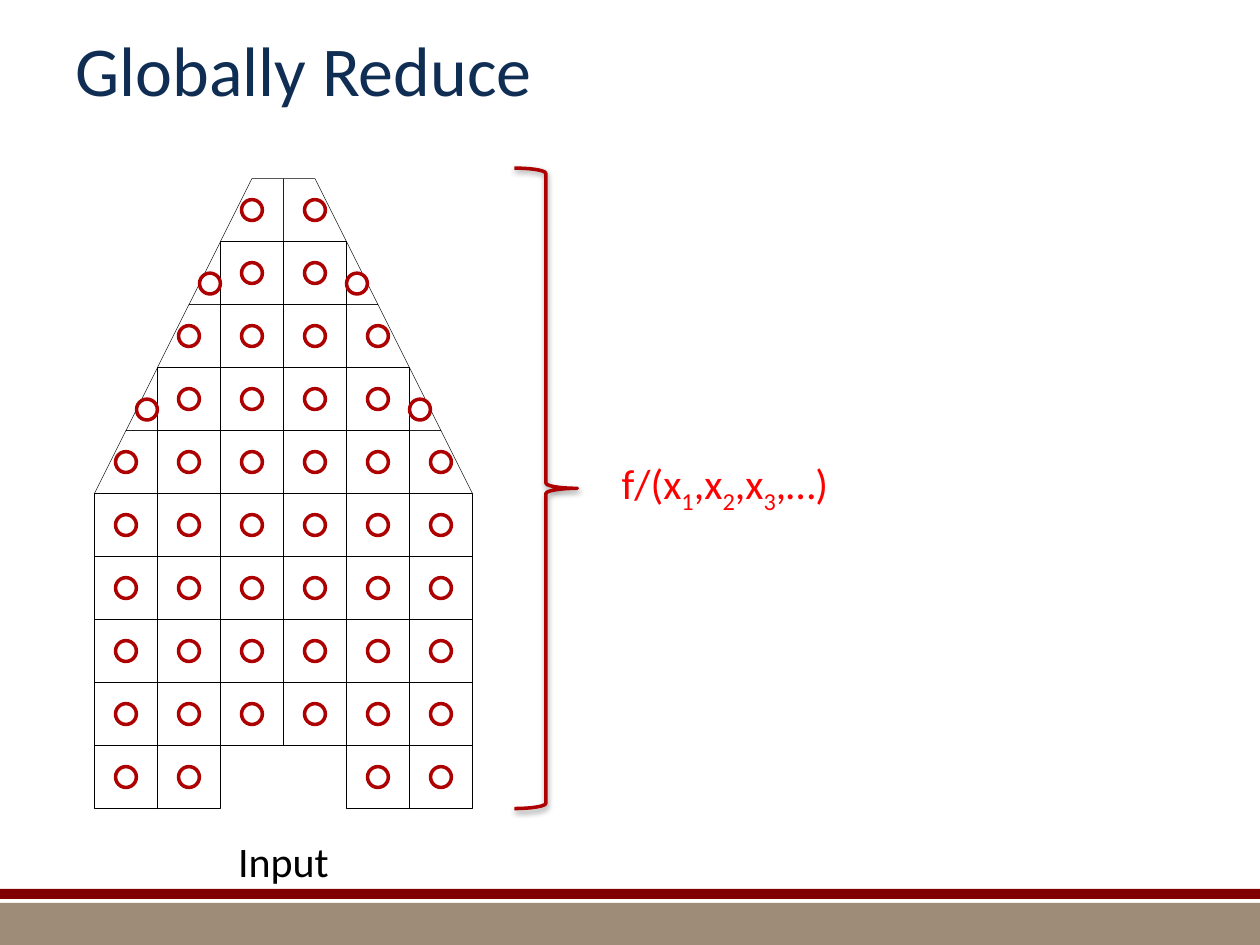
from lxml.etree import SubElement
from pptx import Presentation
from pptx.dml.color import RGBColor
from pptx.enum.shapes import MSO_SHAPE
from pptx.enum.text import MSO_ANCHOR, MSO_AUTO_SIZE, PP_ALIGN
from pptx.oxml.ns import qn
from pptx.util import Cm, Pt

COLORS = {
    "title": "102E54",
    "black": "000000",
    "white": "FFFFFF",
    "dot": "AD0101",
    "formula": "FF0000",
    "band": "9E8C78",
    "stripe": "800000",
}
FONT = "Calibri"
CELL = 1.27
AXIS = 5.715
GRID_TOP = 3.6
DOT = 0.42
COLUMN_ENDS = (9, 10, 10)


def color(name):
    return RGBColor.from_string(COLORS[name])


def style(shape, fill=None, line=None, weight=0.25):
    shape.shadow.inherit = False
    if fill:
        shape.fill.solid()
        shape.fill.fore_color.rgb = color(fill)
    else:
        shape.fill.background()
    if line:
        shape.line.color.rgb = color(line)
        shape.line.width = Pt(weight)
    else:
        shape.line.fill.background()


def add_shape(shapes, kind, left, top, width, height, **look):
    shape = shapes.add_shape(kind, Cm(left), Cm(top), Cm(width), Cm(height))
    style(shape, **look)
    return shape


def add_text(page, pieces, left, top, width, height, size, ink,
             align=PP_ALIGN.LEFT, wrap=False):
    box = page.shapes.add_textbox(Cm(left), Cm(top), Cm(width), Cm(height))
    frame = box.text_frame
    frame.word_wrap = wrap
    frame.auto_size = MSO_AUTO_SIZE.NONE if wrap else MSO_AUTO_SIZE.SHAPE_TO_FIT_TEXT
    frame.vertical_anchor = MSO_ANCHOR.MIDDLE if wrap else MSO_ANCHOR.TOP
    para = frame.paragraphs[0]
    para.alignment = align
    for text, subscript in pieces:
        span = para.add_run()
        span.text = text
        span.font.name = FONT
        span.font.size = Pt(size)
        span.font.color.rgb = color(ink)
        if subscript:
            span._r.get_or_add_rPr().set("baseline", "-25000")


def grid_point(side, across, down):
    return AXIS + side * across * CELL, GRID_TOP + down * CELL


def add_outline(shapes, side, corners):
    points = [tuple(Cm(value) for value in grid_point(side, *corner))
              for corner in corners]
    builder = shapes.build_freeform(*points[0])
    builder.add_line_segments(points[1:], close=True)
    style(builder.convert_to_shape(), line="black")


def add_cells(shapes, side):
    for column, end in enumerate(COLUMN_ENDS):
        top = 2 * column
        outer = column + 1
        for row in range(top + 1, end):
            x, y = grid_point(side, column + 0.5, row + 0.5)
            add_shape(shapes, MSO_SHAPE.RECTANGLE, x - CELL / 2, y - CELL / 2,
                      CELL, CELL, line="black")
        add_outline(shapes, side, [(column, top), (column, top + 1),
                                   (outer, top + 1), (column + 0.5, top)])
        if outer < len(COLUMN_ENDS):
            add_outline(shapes, side, [(outer, top + 1), (outer, top + 2),
                                       (outer + 0.5, top + 2)])


def add_dots(shapes, side):
    centers = [(column + 0.5, row + 0.5)
               for column, end in enumerate(COLUMN_ENDS)
               for row in range(2 * column, end)]
    centers += [(column + 7 / 6, 2 * column + 5 / 3)
                for column in range(len(COLUMN_ENDS) - 1)]
    for center in centers:
        x, y = grid_point(side, *center)
        add_shape(shapes, MSO_SHAPE.OVAL, x - DOT / 2, y - DOT / 2, DOT, DOT,
                  fill="white", line="dot", weight=2)


def add_brace(page):
    brace = add_shape(page.shapes, MSO_SHAPE.RIGHT_BRACE, 10.37, 3.39, 1.27, 12.91,
                      line="dot", weight=2)
    effects = brace._element.spPr.find(qn("a:effectLst"))
    shadow = SubElement(effects, qn("a:outerShdw"), blurRad="40000", dist="20000",
                        dir="5400000", rotWithShape="0")
    tint = SubElement(shadow, qn("a:srgbClr"), val=COLORS["black"])
    SubElement(tint, qn("a:alpha"), val="38000")


def main():
    deck = Presentation()
    deck.slide_width, deck.slide_height = Cm(25.4), Cm(19.05)
    page = deck.slides.add_slide(deck.slide_layouts[6])
    add_shape(page.shapes, MSO_SHAPE.RECTANGLE, 0, 18.2, 25.4, 0.85, fill="band")
    add_shape(page.shapes, MSO_SHAPE.RECTANGLE, 0, 17.92, 25.4, 0.2, fill="stripe")
    add_text(page, [("Globally Reduce", False)], 1.27, 0, 22.86, 2.75, 40, "title",
             wrap=True)
    grid = page.shapes.add_group_shape()
    for side in (1, -1):
        add_cells(grid.shapes, side)
    add_text(page, [("Input", False)], 4.53, 16.72, 2.37, 1.28, 24, "black",
             align=PP_ALIGN.CENTER)
    for side in (-1, 1):
        add_dots(page.shapes, side)
    add_brace(page)
    formula = [("f/(x", False), ("1", True), (",x", False), ("2", True),
               (",x", False), ("3", True), (",…)", False)]
    add_text(page, formula, 12.28, 9.1, 4.83, 1.28, 24, "formula")
    deck.save("out.pptx")


if __name__ == "__main__":
    main()
